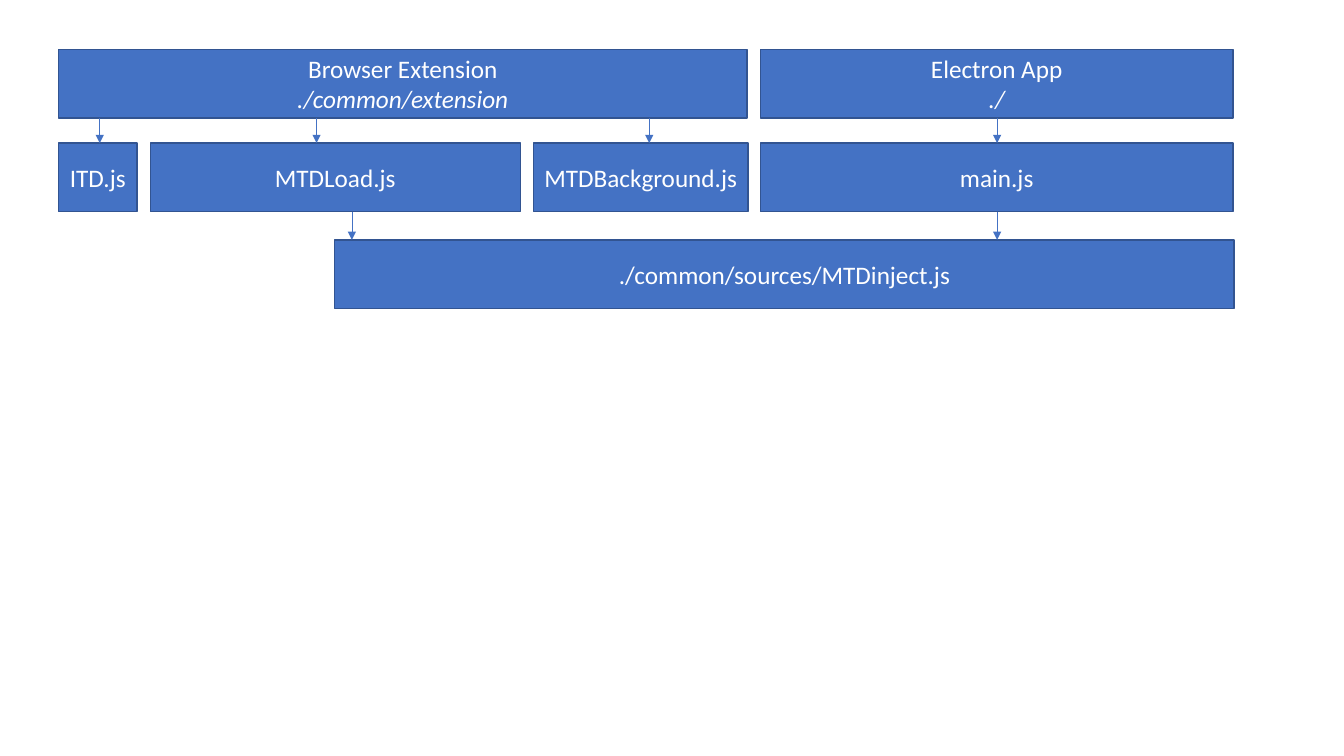
from lxml import etree
from pptx import Presentation
from pptx import util as u
from pptx.dml import color
from pptx.enum import shapes, text
from pptx.oxml import ns

ROW_TOPS = [0.49, 1.42, 2.38]
BOX_HEIGHT = 0.68

# Row, left, width, then the lines of text
BOXES = [
    (0, 0.58, 6.83, ["Browser Extension", "./common/extension"]),
    (0, 7.54, 4.69, ["Electron App", "./"]),
    (1, 0.58, 0.78, ["ITD.js"]),
    (1, 1.49, 3.67, ["MTDLoad.js"]),
    (1, 5.29, 2.13, ["MTDBackground.js"]),
    (1, 7.54, 4.69, ["main.js"]),
    (2, 3.32, 8.92, ["./common/sources/MTDinject.js"]),
]

# Arrow positions, by the row they start from
ARROWS = {0: [0.99, 3.14, 6.44, 9.89], 1: [3.49, 9.89]}


def rgb(value):
    """Turn a hex string into a colour."""
    return color.RGBColor.from_string(value)


class Diagram:
    """Holds the style and the current slide."""

    font = "Calibri"
    size = u.Pt(18)
    fill = "4472C4"
    border = "325491"
    ink = "FFFFFF"

    def __init__(self, page):
        """Draw on the given slide."""
        self.page = page

    def box(self, row, left, width, lines):
        """Add a box whose second line, a folder, is italic."""
        box = self.page.shapes.add_shape(
            shapes.MSO_SHAPE.RECTANGLE, u.Inches(left), u.Inches(ROW_TOPS[row]),
            u.Inches(width), u.Inches(BOX_HEIGHT))
        box.shadow.inherit = False
        box.fill.solid()
        box.fill.fore_color.rgb = rgb(self.fill)
        box.line.color.rgb = rgb(self.border)
        box.line.width = u.Pt(1)
        frame = box.text_frame
        frame.word_wrap = True
        frame.vertical_anchor = text.MSO_ANCHOR.MIDDLE
        frame.margin_left = frame.margin_right = u.Inches(0.05)
        for index, line in enumerate(lines):
            para = frame.add_paragraph() if index else frame.paragraphs[0]
            para.alignment = text.PP_ALIGN.CENTER
            span = para.add_run()
            span.text = line
            span.font.name = self.font
            span.font.size = self.size
            span.font.color.rgb = rgb(self.ink)
            if index:
                span.font.italic = True

    def arrow(self, row, x):
        """Add an arrow from the foot of a row down to the next row."""
        arrow = self.page.shapes.add_connector(
            shapes.MSO_CONNECTOR.STRAIGHT,
            u.Inches(x), u.Inches(ROW_TOPS[row] + BOX_HEIGHT),
            u.Inches(x), u.Inches(ROW_TOPS[row + 1]))
        arrow.line.color.rgb = rgb(self.fill)
        arrow.line.width = u.Pt(0.5)
        properties = arrow.element.spPr
        outline = properties.find(ns.qn("a:ln"))
        etree.SubElement(outline, ns.qn("a:tailEnd"), type="triangle")
        etree.SubElement(properties, ns.qn("a:effectLst"))


def main():
    """Build the deck and save it."""
    deck = Presentation()
    deck.slide_width, deck.slide_height = u.Inches(13.33), u.Inches(7.5)
    diagram = Diagram(deck.slides.add_slide(deck.slide_layouts[6]))
    for row, left, width, lines in BOXES:
        diagram.box(row, left, width, lines)
    for row, positions in ARROWS.items():
        for x in positions:
            diagram.arrow(row, x)
    deck.save("out.pptx")


main()
